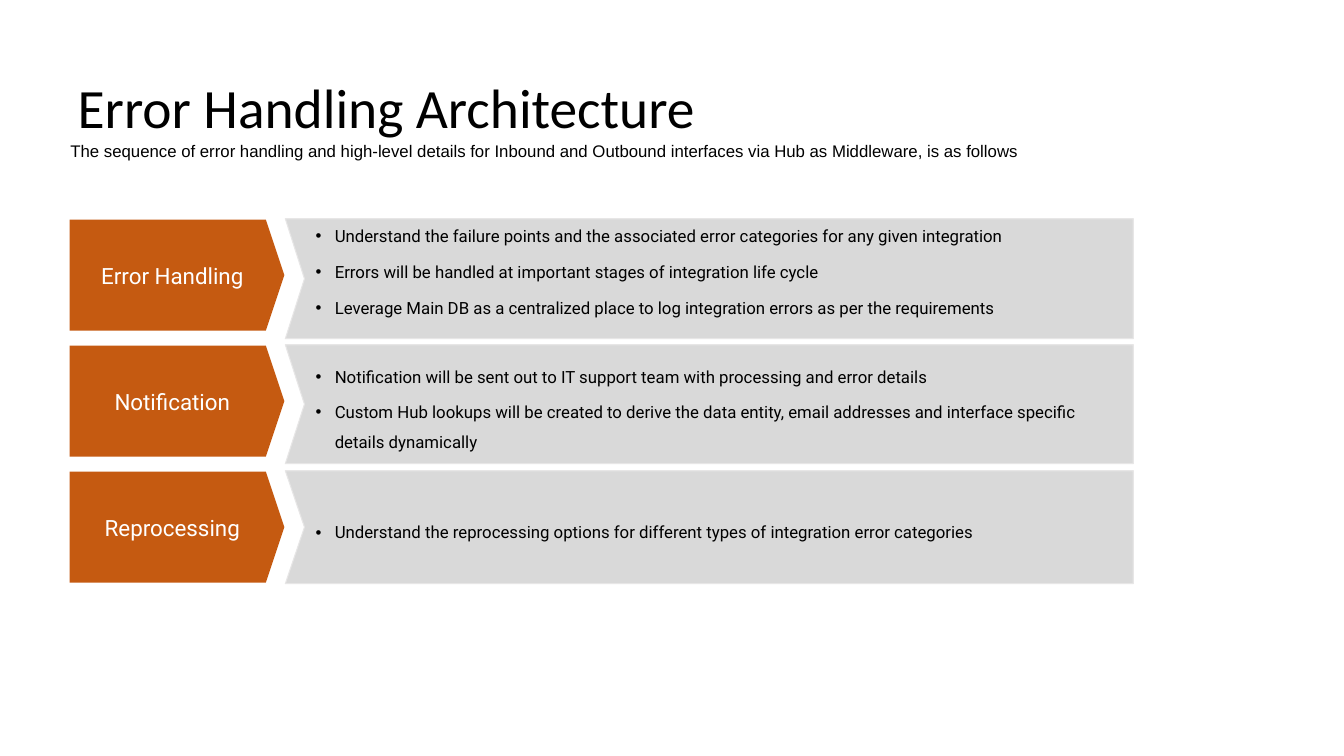
"""Build the error handling architecture slide with three stages."""
from lxml.etree import SubElement
from pptx import Presentation
from pptx.dml.color import RGBColor
from pptx.enum.shapes import MSO_SHAPE
from pptx.enum.text import MSO_ANCHOR, PP_ALIGN
from pptx.oxml.ns import qn
from pptx.util import Inches, Pt

HEADING = "Error Handling Architecture"
INTRO = ("The sequence of error handling and high-level details for Inbound and "
         "Outbound interfaces via Hub as Middleware, is as follows")
STAGES = [
    {"name": "Error Handling", "height": 1.19, "separate": True, "details": [
        "Understand the failure points and the associated error categories for any given integration",
        "Errors will be handled at important stages of integration life cycle",
        "Leverage Main DB as a centralized place to log integration errors as per the requirements"]},
    {"name": "Notification", "height": 1.18, "separate": False, "details": [
        "Notification will be sent out to IT support team with processing and error details",
        "Custom Hub lookups will be created to derive the data entity, email addresses "
        "and interface specific details dynamically"]},
    {"name": "Reprocessing", "height": 1.12, "separate": False, "details": [
        "Understand the reprocessing options for different types of integration error categories"]},
]
BLACK, WHITE, ORANGE, GREY, EDGE = "000000", "FFFFFF", "C55A11", "D9D9D9", "E7E6E6"
FIRST_TOP, PITCH = 2.17, 1.25
ARROW_LEFT, ARROW_WIDTH, ARROW_HEIGHT = 0.69, 2.13, 1.1
PANEL_LEFT, PANEL_RIGHT, NOTCH = 2.83, 11.24, 0.19
HANGING = 0.19


def color(hex_value):
    return RGBColor.from_string(hex_value)


def add_run(paragraph, words, size, font_name, hex_value):
    run = paragraph.add_run()
    run.text = words
    run.font.size = Pt(size)
    run.font.name = font_name
    run.font.color.rgb = color(hex_value)


def set_frame(frame, margins, anchor):
    frame.word_wrap = True
    frame.vertical_anchor = anchor
    (frame.margin_left, frame.margin_top,
     frame.margin_right, frame.margin_bottom) = map(Inches, margins)


def add_bullets(frame, details, line_spacing, space_after):
    for index, detail in enumerate(details):
        paragraph = frame.add_paragraph() if index else frame.paragraphs[0]
        paragraph.alignment = PP_ALIGN.LEFT
        properties = paragraph._p.get_or_add_pPr()
        properties.set("marL", str(Inches(HANGING)))
        properties.set("indent", str(-Inches(HANGING)))
        bullet_color = SubElement(properties, qn("a:buClr"))
        SubElement(bullet_color, qn("a:srgbClr"), val=BLACK)
        SubElement(properties, qn("a:buFont"), typeface="Arial")
        SubElement(properties, qn("a:buChar"), char="•")
        paragraph.line_spacing = line_spacing
        paragraph.space_after = Pt(space_after)
        add_run(paragraph, detail, 12, "Roboto", BLACK)


def add_arrow(slide, name, top):
    arrow = slide.shapes.add_shape(
        MSO_SHAPE.PENTAGON, Inches(ARROW_LEFT), Inches(top),
        Inches(ARROW_WIDTH), Inches(ARROW_HEIGHT))
    arrow.adjustments[0] = 0.166
    arrow.shadow.inherit = False
    arrow.fill.solid()
    arrow.fill.fore_color.rgb = color(ORANGE)
    arrow.line.fill.background()
    set_frame(arrow.text_frame, (0.1, 0.1, 0.1, 0.1), MSO_ANCHOR.MIDDLE)
    label = arrow.text_frame.paragraphs[0]
    label.alignment = PP_ALIGN.CENTER
    add_run(label, name, 16, "Roboto", WHITE)


def add_panel(slide, top, height):
    bottom = top + height
    corners = [(PANEL_LEFT, top), (PANEL_LEFT + NOTCH, top + height / 2),
               (PANEL_LEFT, bottom), (PANEL_RIGHT, bottom)]
    builder = slide.shapes.build_freeform(Inches(PANEL_RIGHT), Inches(top))
    builder.add_line_segments([(Inches(x), Inches(y)) for x, y in corners])
    panel = builder.convert_to_shape()
    panel.shadow.inherit = False
    panel.fill.solid()
    panel.fill.fore_color.rgb = color(GREY)
    panel.line.color.rgb = color(EDGE)
    panel.line.width = Pt(0.75)
    return panel


def main():
    deck = Presentation()
    deck.slide_width, deck.slide_height = Inches(13.33), Inches(7.5)
    slide = deck.slides.add_slide(deck.slide_layouts[5])

    title = slide.shapes.title
    title.left, title.top, title.width, title.height = map(Inches, (0.67, 0.81, 12, 0.57))
    set_frame(title.text_frame, (0.1, 0.05, 0.1, 0.05), MSO_ANCHOR.MIDDLE)
    heading = title.text_frame.paragraphs[0]
    heading.alignment = PP_ALIGN.LEFT
    heading.line_spacing = 0.9
    add_run(heading, HEADING, 39.6, "Calibri", BLACK)

    intro = slide.shapes.add_textbox(*map(Inches, (0.6, 1.35, 10.04, 0.3))).text_frame
    set_frame(intro, (0.1, 0.05, 0.1, 0.05), MSO_ANCHOR.TOP)
    add_run(intro.paragraphs[0], INTRO, 12, "Arial", BLACK)

    for row, stage in enumerate(STAGES):
        top = FIRST_TOP + row * PITCH
        add_arrow(slide, stage["name"], top + 0.01)
        panel = add_panel(slide, top, stage["height"])
        if stage["separate"]:
            details = slide.shapes.add_textbox(
                *map(Inches, (3.13, top + 0.05, 8.12, 1.04))).text_frame
            set_frame(details, (0, 0, 0, 0), MSO_ANCHOR.TOP)
            add_bullets(details, stage["details"], 1.1, 10)
        else:
            set_frame(panel.text_frame, (0.3, 0.1, 0.1, 0.1), MSO_ANCHOR.MIDDLE)
            add_bullets(panel.text_frame, stage["details"], 1.5, 3.5)

    deck.save("out.pptx")


if __name__ == "__main__":
    main()
